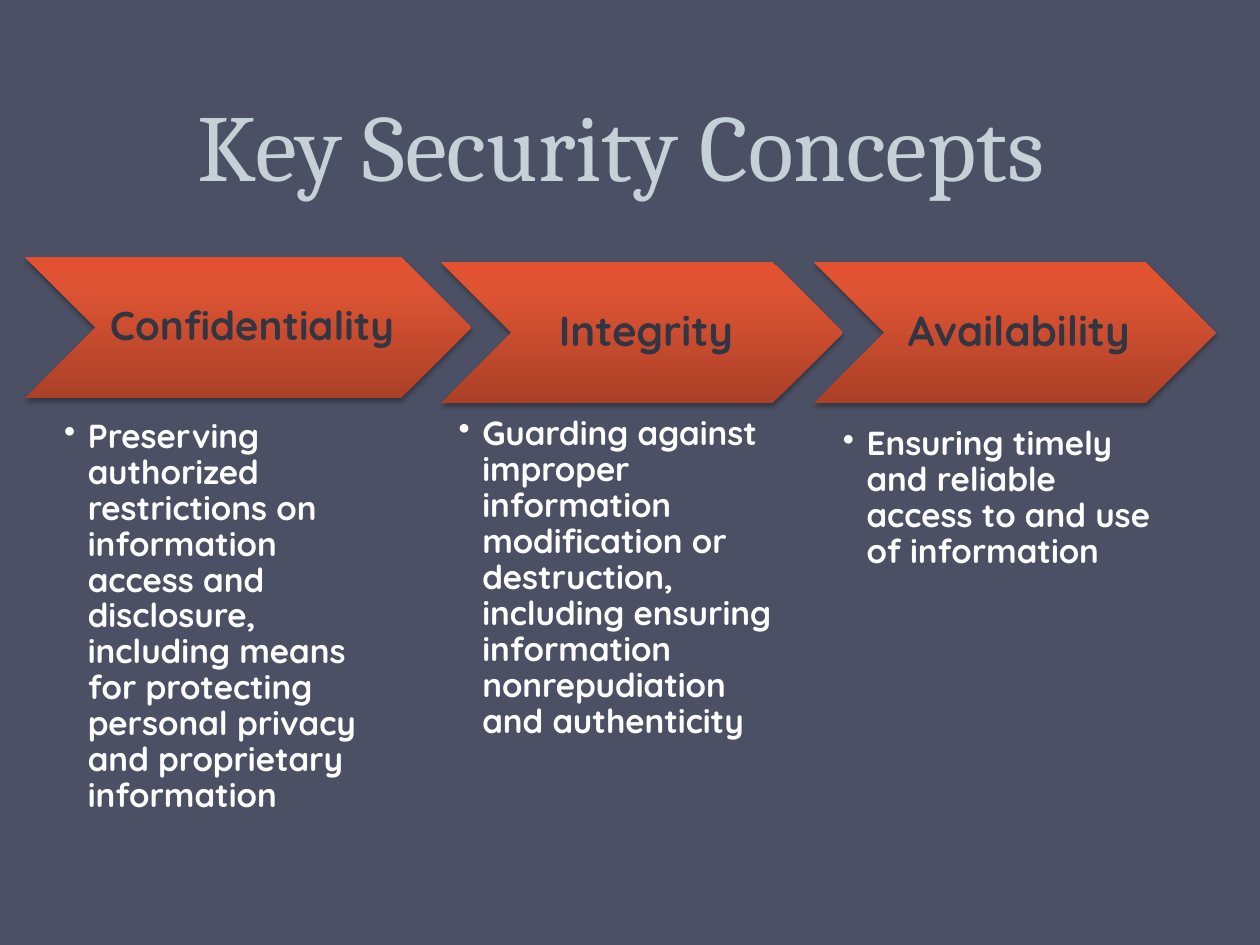
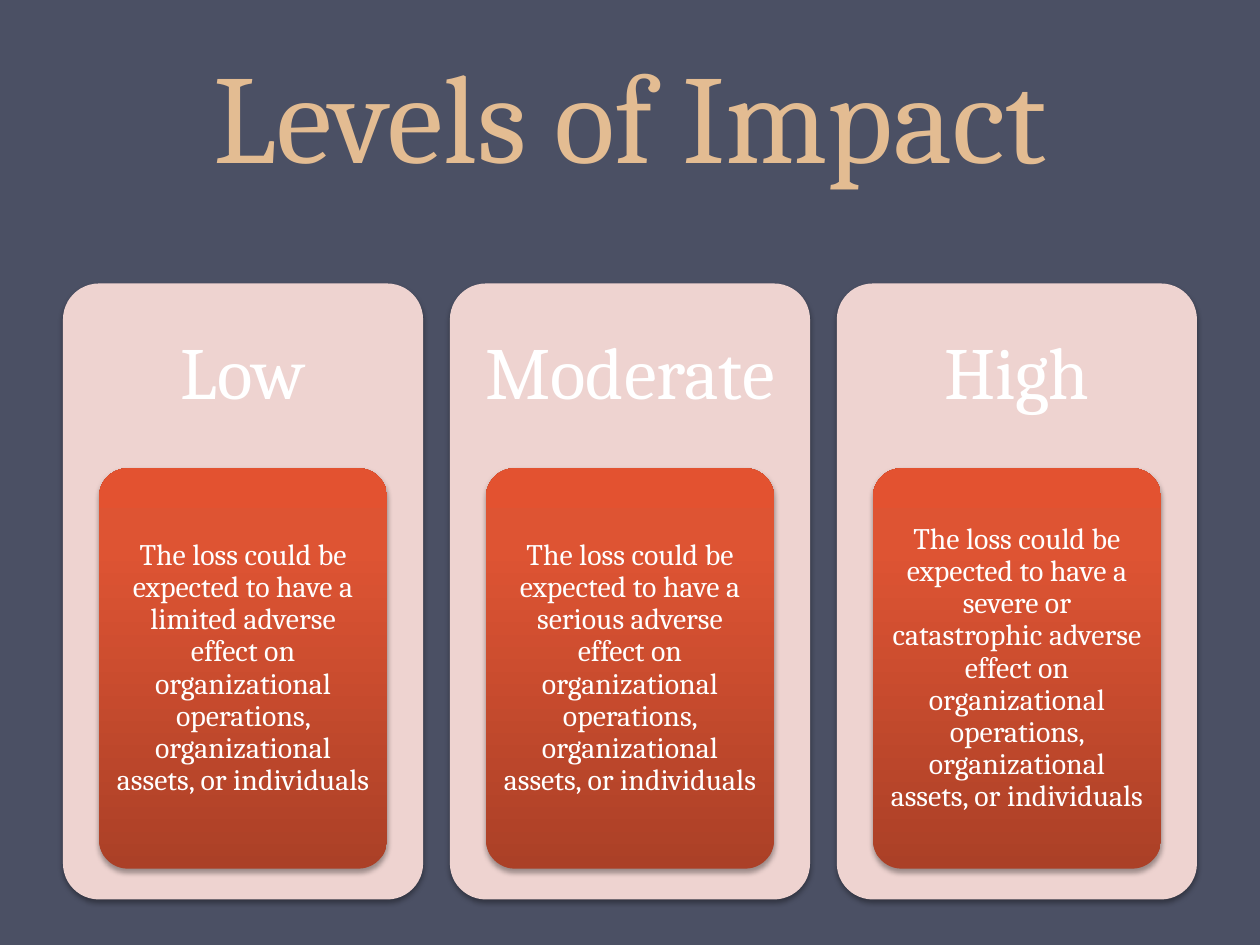
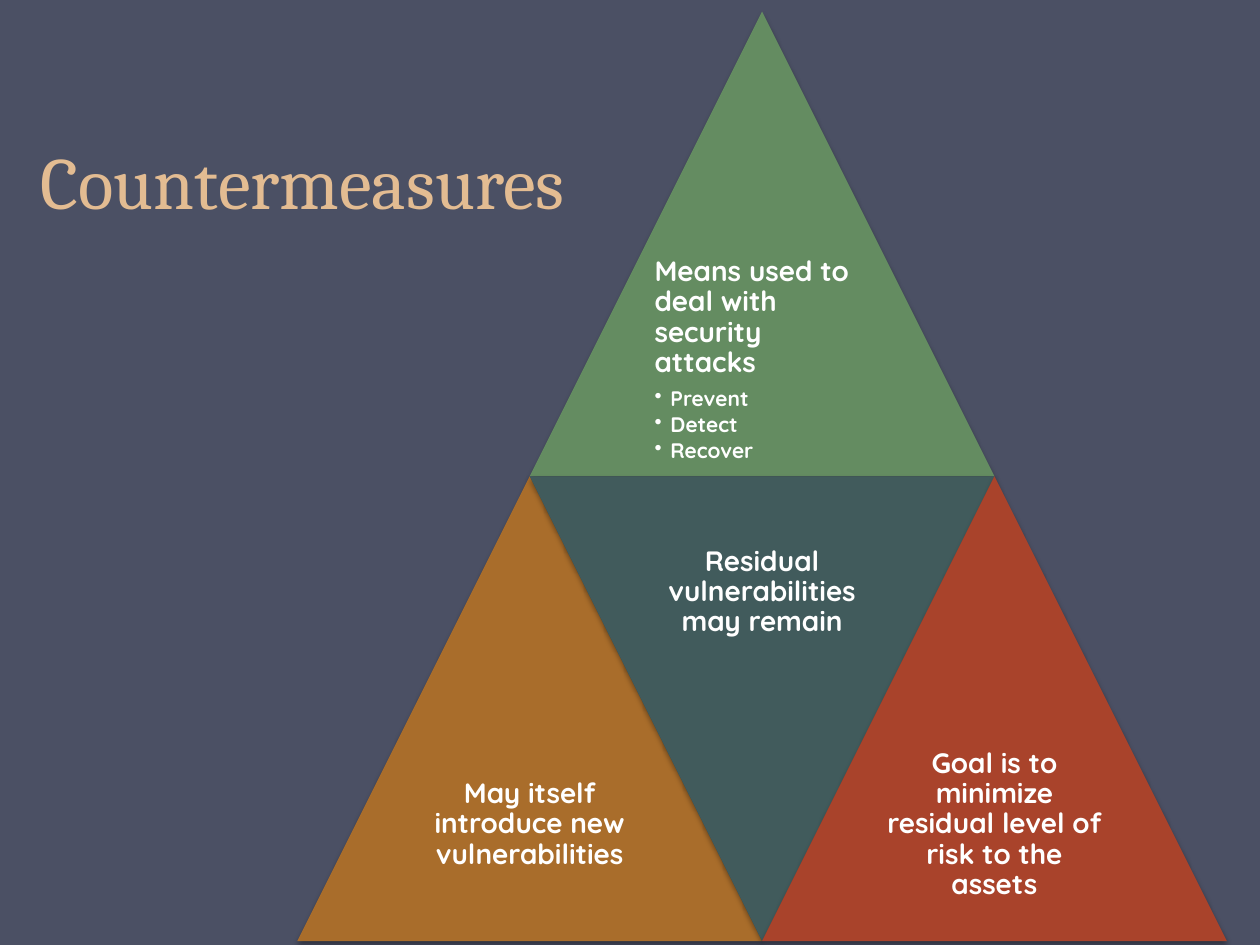
from copy import deepcopy

from lxml import etree
from pptx import Presentation
from pptx.dml.color import RGBColor
from pptx.enum.shapes import MSO_SHAPE
from pptx.enum.text import MSO_ANCHOR, MSO_AUTO_SIZE, PP_ALIGN
from pptx.oxml.ns import qn
from pptx.util import Pt

CHEVRON, ROUNDED, TRIANGLE = MSO_SHAPE.CHEVRON, MSO_SHAPE.ROUNDED_RECTANGLE, MSO_SHAPE.ISOSCELES_TRIANGLE
TOP, MIDDLE, BOTTOM = MSO_ANCHOR.TOP, MSO_ANCHOR.MIDDLE, MSO_ANCHOR.BOTTOM
LEFT, CENTER = PP_ALIGN.LEFT, PP_ALIGN.CENTER
NO_AUTOFIT = MSO_AUTO_SIZE.NONE

SLATE = RGBColor(0x4B, 0x50, 0x64)
INK = RGBColor(0x32, 0x36, 0x43)
WHITE = RGBColor(0xFF, 0xFF, 0xFF)
MIST = RGBColor(0xC5, 0xD1, 0xD7)
SAND = RGBColor(0xE3, 0xBC, 0x92)
ROSE = RGBColor(0xEE, 0xD3, 0xD0)
GREEN = RGBColor(0x64, 0x8C, 0x61)
OCHRE = RGBColor(0xA9, 0x6D, 0x2B)
TEAL = RGBColor(0x41, 0x5B, 0x5C)
BRICK = RGBColor(0xA9, 0x43, 0x2B)
ORANGE_STOPS = [
    (0, RGBColor(0xAB, 0x40, 0x27)),
    (0.8, RGBColor(0xDE, 0x54, 0x33)),
    (1, RGBColor(0xE3, 0x52, 0x30)),
]

SERIF, SANS = "Cambria", "Quicksand"
TITLE_ONLY = 5

# heading, size, chevron left, top, width, definition, list left, top
CONCEPTS = [
    ("Confidentiality", 23, 14.4, 146.9, 254.9,
     "Preserving authorized restrictions on information access and disclosure, "
     "including means for protecting personal privacy and proprietary information", 36.7, 239.8),
    ("Integrity", 24, 252, 149.8, 229.7,
     "Guarding against improper information modification or destruction, "
     "including ensuring information nonrepudiation and authenticity", 262.1, 238.3),
    ("Availability", 24, 465.1, 149.8, 229.7,
     "Ensuring timely and reliable access to and use of information", 481.7, 244.1),
]
IMPACTS = [("Low", "limited"), ("Moderate", "serious"), ("High", "severe or catastrophic")]


def add_titled_slide(deck, title, size, color, area):
    page = deck.slides.add_slide(deck.slide_layouts[TITLE_ONLY])
    box = page.shapes.title
    box.left, box.top, box.width, box.height = map(Pt, area)
    write(box, [title], SERIF, size, color, anchor=BOTTOM, margins=(7.2, 3.6, 7.2, 3.6), spacing=Pt(58))
    return page


def style_paragraph(para, font, size, color, bold, align, spacing):
    para.alignment = align
    para.line_spacing = spacing
    for span in para.runs:
        span.font.name = font
        span.font.size = Pt(size)
        span.font.bold = bold
        span.font.color.rgb = color


def write(box, lines, font, size, color, bold=False, align=CENTER, anchor=MIDDLE,
          margins=(0, 0, 0, 0), spacing=0.9):
    """Fill a shape with styled lines; margins run left, top, right, bottom."""
    frame = box.text_frame
    frame.text = "\n".join(lines)
    frame.word_wrap = True
    frame.auto_size = NO_AUTOFIT
    frame.vertical_anchor = anchor
    (frame.margin_left, frame.margin_top,
     frame.margin_right, frame.margin_bottom) = map(Pt, margins)
    for para in frame.paragraphs:
        style_paragraph(para, font, size, color, bold, align, spacing)


def add_bullet(para, indent):
    properties = para._p.get_or_add_pPr()
    properties.set("marL", str(Pt(indent)))
    properties.set("indent", str(-Pt(indent)))
    etree.SubElement(properties, qn("a:buChar"), char="•")


def add_text_box(page, *area):
    return page.shapes.add_textbox(*map(Pt, area))


def add_shadow(shape):
    shape.shadow.inherit = False
    effects = shape._element.spPr.find(qn("a:effectLst"))
    shadow = etree.SubElement(effects, qn("a:outerShdw"), blurRad=str(Pt(3.1)),
                              dist=str(Pt(1.8)), dir="5400000", rotWithShape="0")
    black = etree.SubElement(shadow, qn("a:srgbClr"), val="000000")
    etree.SubElement(black, qn("a:alpha"), val="35000")


def fill_orange(shape):
    shape.fill.gradient()
    shape.fill.gradient_angle = 90
    stops = shape._element.spPr.find(qn("a:gradFill")).find(qn("a:gsLst"))
    stops.append(deepcopy(stops[-1]))
    for stop, (position, color) in zip(shape.fill.gradient_stops, ORANGE_STOPS):
        stop.position = position
        stop.color.rgb = color


def add_block(page, kind, area, color=None):
    """Add a shadowed shape, orange gradient unless a colour is given."""
    shape = page.shapes.add_shape(kind, *map(Pt, area))
    if color is None:
        fill_orange(shape)
    else:
        shape.fill.solid()
        shape.fill.fore_color.rgb = color
    shape.line.fill.background()
    add_shadow(shape)
    if kind == ROUNDED:
        shape.adjustments[0] = 0.1
    return shape


def build_concepts(deck):
    page = add_titled_slide(deck, "Key Security Concepts", 54, MIST, (31, -7.9, 648, 126))
    for heading, size, left, top, width, definition, list_left, list_top in CONCEPTS:
        chevron = add_block(page, CHEVRON, (left, top, width, 80.6))
        write(chevron, [heading], SANS, size, INK, bold=True, margins=(7.2, 2.5, 2.5, 2.5))
        box = add_text_box(page, list_left, list_top, 183.6, 270)
        write(box, [definition], SANS, 19, WHITE, bold=True, align=LEFT, anchor=TOP)
        add_bullet(box.text_frame.paragraphs[0], 13.5)


def build_impacts(deck):
    page = add_titled_slide(deck, "Levels of Impact", 72, SAND, (36, 0, 648, 111.6))
    for column, (level, effect) in enumerate(IMPACTS):
        left = 36 + column * 221.1
        card = add_block(page, ROUNDED, (left, 162, 205.8, 352), ROSE)
        write(card, [level], SERIF, 42, WHITE, margins=(6.2, 6.2, 6.2, 252.5))
        panel = add_block(page, ROUNDED, (left + 20.6, 267.6, 164.6, 228.8))
        loss = (f"The loss could be expected to have a {effect} adverse effect on "
                "organizational operations, organizational assets, or individuals")
        write(panel, [loss], SERIF, 17, WHITE, margins=(3.6, 2.9, 3.6, 2.9))


def build_countermeasures(deck):
    page = add_titled_slide(deck, "Countermeasures", 42, SAND, (-48.2, 31.7, 442, 100))
    side = 265.6
    half = side / 2
    left, top = 169.9, 6.6
    middle = top + side

    def add_triangle(column, row_top, color):
        return add_block(page, TRIANGLE, (left + column * half, row_top, side, side), color)

    def label(box, lines, align=CENTER):
        write(box, lines, SANS, 16, WHITE, bold=True, align=align, margins=(5, 5, 5, 5))

    means = add_triangle(1, top, GREEN)
    label(means, ["Means used to deal with security attacks", "Prevent", "Detect", "Recover"], LEFT)
    intro, *actions = means.text_frame.paragraphs
    intro.space_after = Pt(5.6)
    for para in actions:
        para.runs[0].font.size = Pt(12)
        para.space_after = Pt(1.8)
        add_bullet(para, 9)

    label(add_triangle(0, middle, OCHRE), ["May itself introduce new vulnerabilities"])
    add_triangle(1, middle, TEAL).rotation = 180
    # The inverted triangle would turn its own text upside down.
    residual = add_text_box(page, left + half * 1.5, middle, half, half)
    label(residual, ["Residual vulnerabilities may remain"])
    label(add_triangle(2, middle, BRICK), ["Goal is to minimize residual level of risk to the assets"])


def main():
    deck = Presentation()
    deck.slide_width, deck.slide_height = Pt(720), Pt(540)
    background = deck.slide_master.background.fill
    background.solid()
    background.fore_color.rgb = SLATE
    build_concepts(deck)
    build_impacts(deck)
    build_countermeasures(deck)
    deck.save("out.pptx")


if __name__ == "__main__":
    main()
